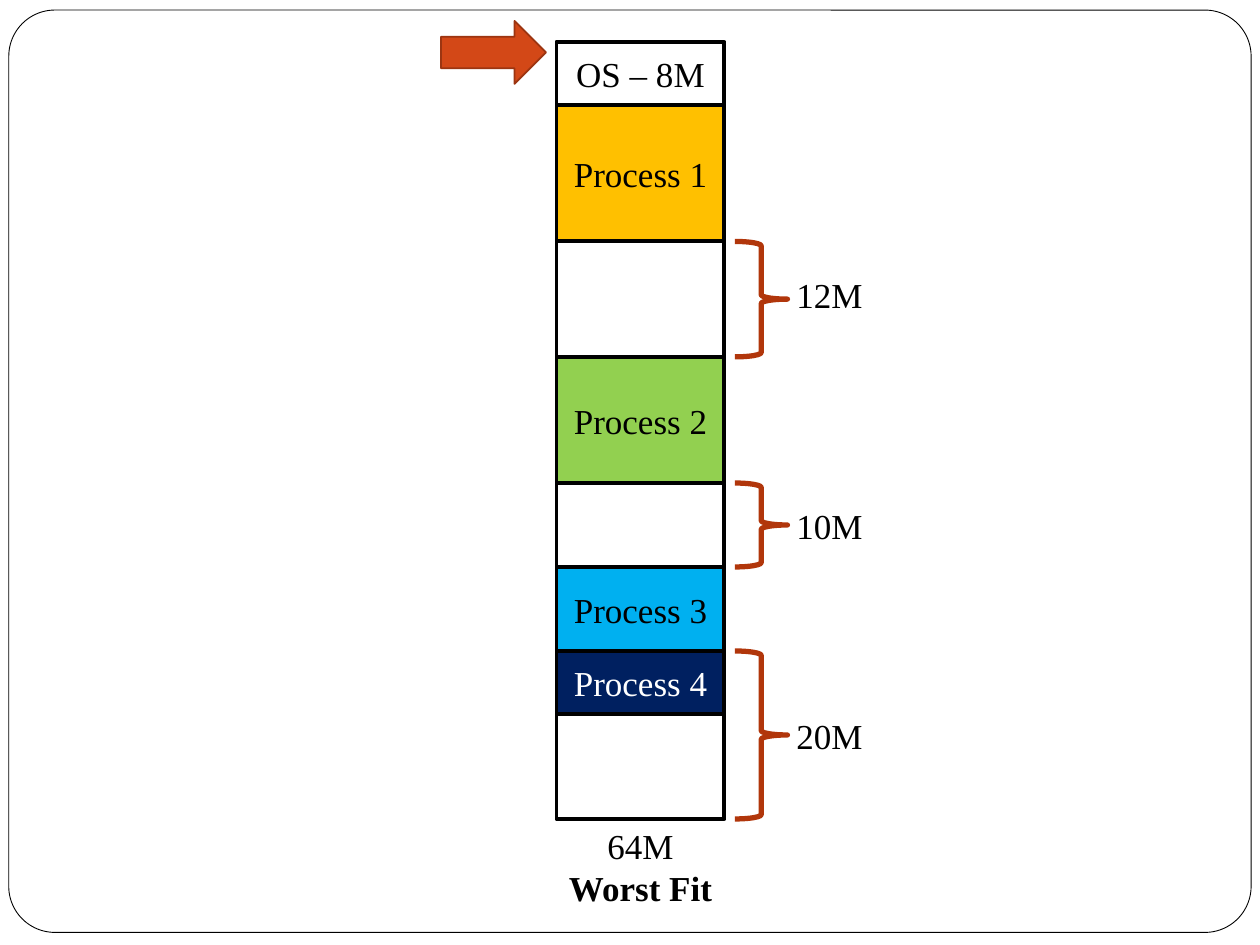
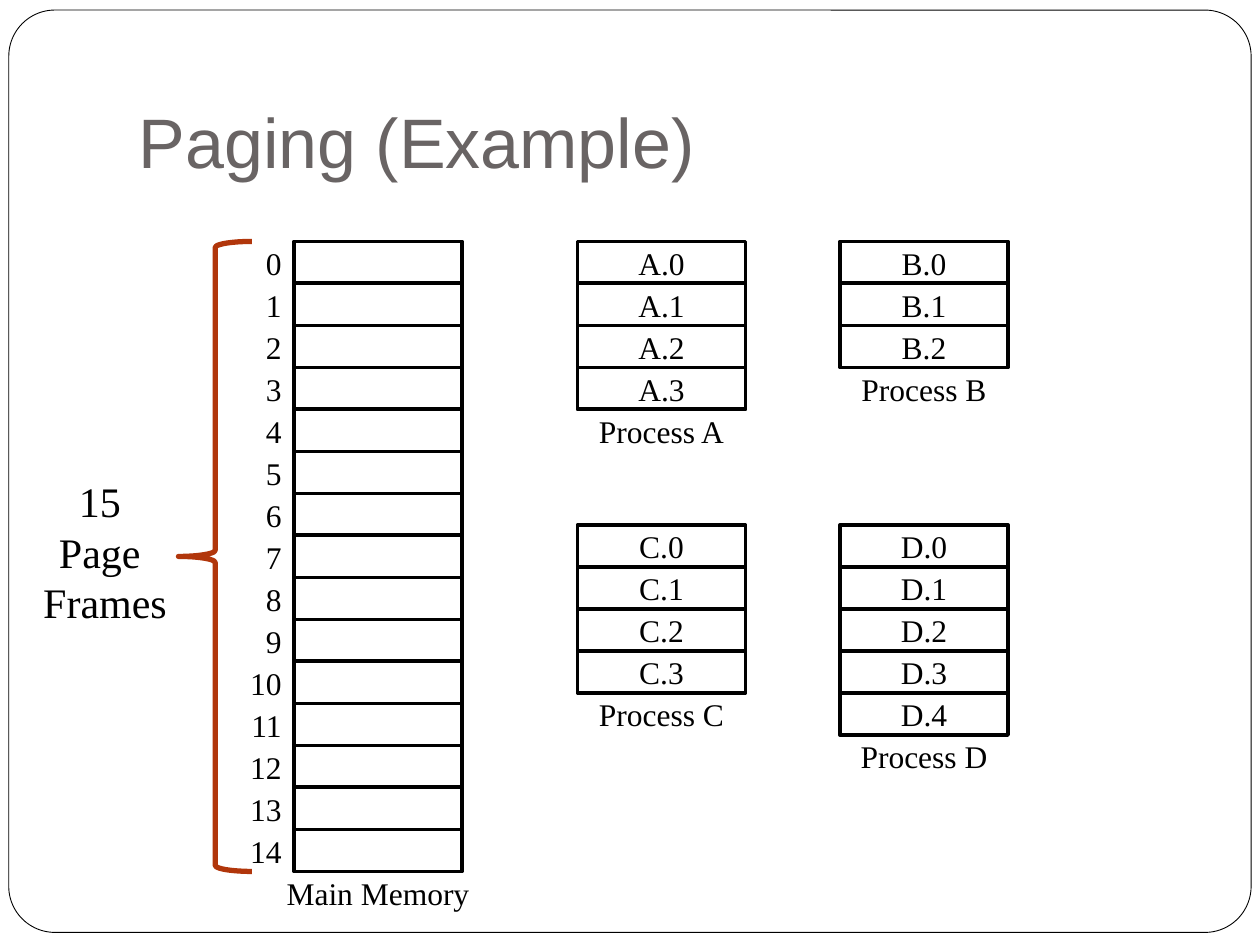
"""Build two slides on memory allocation: worst fit and paging."""
from dataclasses import dataclass

import pptx
import pptx.dml.color
import pptx.enum.shapes
import pptx.enum.text
import pptx.util

SHAPES = pptx.enum.shapes.MSO_SHAPE
ALIGN = pptx.enum.text.PP_ALIGN
ANCHOR = pptx.enum.text.MSO_ANCHOR


@dataclass(frozen=True)
class Theme:
    """Colours, fonts, type sizes and line widths of the deck."""
    black: str = "000000"
    white: str = "FFFFFF"
    title_grey: str = "696464"
    brace_red: str = "B1360B"
    arrow_fill: str = "D34817"
    arrow_line: str = "9C3511"
    amber: str = "FFC000"
    green: str = "92D050"
    blue: str = "00B0F0"
    navy: str = "002060"
    title_font: str = "Arial"
    body_font: str = "Times New Roman"
    title_size: int = 40
    large_size: int = 24
    block_size: int = 20
    page_size: int = 18
    card_line: float = 0.5
    arrow_width: float = 1
    block_line: float = 2.25
    brace_line: float = 3


THEME = Theme()
BLOCK_WIDTH = 16
CAPTION_WIDTH = 20
ROW = 4


def grid(*twelfths):
    """Turn twelfths of an inch into lengths."""
    return [pptx.util.Inches(value / 12) for value in twelfths]


def colour(code):
    """Return the colour for a hexadecimal code."""
    return pptx.dml.color.RGBColor.from_string(code)


def write(shape, text, *, size=THEME.block_size, color=THEME.black, font=THEME.body_font,
          align=ALIGN.CENTER, anchor=ANCHOR.MIDDLE, bold_last=False):
    """Write the lines of text into a shape with one format."""
    frame = shape.text_frame
    frame.text = text
    frame.word_wrap = True
    frame.vertical_anchor = anchor
    for paragraph in frame.paragraphs:
        paragraph.alignment = align
        paragraph.font.name = font
        paragraph.font.size = pptx.util.Pt(size)
        paragraph.font.color.rgb = colour(color)
    if bold_last:
        frame.paragraphs[-1].font.bold = True


def add_outline(slide, kind, place, line, width, fill=None):
    """Add a preset shape with a line and, if given, a fill."""
    shape = slide.shapes.add_shape(kind, *place)
    shape.shadow.inherit = False
    if fill:
        shape.fill.solid()
        shape.fill.fore_color.rgb = colour(fill)
    else:
        shape.fill.background()
    shape.line.color.rgb = colour(line)
    shape.line.width = pptx.util.Pt(width)
    return shape


def add_block(slide, left, top, height, text="", fill=THEME.white, **text_format):
    """Add a memory block with an optional name."""
    shape = add_outline(slide, SHAPES.RECTANGLE, grid(left, top, BLOCK_WIDTH, height),
                        THEME.black, THEME.block_line, fill)
    if text:
        write(shape, text, **text_format)


def add_label(slide, left, top, width, height, text, **text_format):
    """Add a text box."""
    write(slide.shapes.add_textbox(*grid(left, top, width, height)), text, **text_format)


def add_brace(slide, kind, left, top, width, height):
    """Add a brace that spans part of the memory."""
    add_outline(slide, kind, grid(left, top, width, height), THEME.brace_red, THEME.brace_line)


def add_master_card(presentation, slide):
    """Put the rounded card behind every slide by way of the master."""
    place = [pptx.util.Inches(value) for value in (0.07, 0.08, 9.86, 7.32)]
    card = add_outline(slide, SHAPES.ROUNDED_RECTANGLE, place,
                       THEME.black, THEME.card_line, THEME.white)
    card.adjustments[0] = 0.05
    card.element.nvSpPr.cNvPr.set("id", "100")
    presentation.slide_master.shapes.element.insert(2, card.element)


def add_title(slide, text):
    """Place and fill the title placeholder."""
    title = slide.shapes.title
    title.left, title.top, title.width, title.height = (
        pptx.util.Inches(value) for value in (1, 0.3, 8.5, 1.25))
    title.text_frame.margin_bottom = pptx.util.Inches(0.1)
    write(title, text, size=THEME.title_size, color=THEME.title_grey,
          font=THEME.title_font, align=ALIGN.LEFT, anchor=ANCHOR.BOTTOM)


def add_page_stack(slide, left, top, pages, caption):
    """Add a stack of equal pages with a caption below."""
    for row, page in enumerate(pages):
        add_block(slide, left, top + row * ROW, ROW, page, size=THEME.page_size)
    add_label(slide, left - 2, top + len(pages) * ROW, CAPTION_WIDTH, ROW, caption,
              size=THEME.page_size)


def fill_worst_fit(slide):
    """Show the memory map after worst-fit allocation."""
    left, top = 53, 4
    blocks = [
        ("OS – 8M", 6, THEME.white, THEME.black),
        ("Process 1", 13, THEME.amber, THEME.black),
        ("", 11, THEME.white, THEME.black),
        ("Process 2", 12, THEME.green, THEME.black),
        ("", 8, THEME.white, THEME.black),
        ("Process 3", 8, THEME.blue, THEME.black),
        ("Process 4", 6, THEME.navy, THEME.white),
        ("", 10, THEME.white, THEME.black),
    ]
    for name, height, fill, color in blocks:
        add_block(slide, left, top, height, name, fill, color=color)
        top += height
    add_label(slide, left - 2, top + 1, CAPTION_WIDTH, 7, "64M\nWorst Fit", bold_last=True)

    holes = [("12M", 23, 11, 26), ("10M", 46, 8, 48), ("20M", 62, 16, 68)]
    for size, hole_top, height, label_top in holes:
        add_brace(slide, SHAPES.RIGHT_BRACE, 70, hole_top, 5, height)
        add_label(slide, 71, label_top, 16, ROW, size)
    add_outline(slide, SHAPES.RIGHT_ARROW, grid(42, 2, 10, 6),
                THEME.arrow_line, THEME.arrow_width, THEME.arrow_fill)


def fill_paging(slide):
    """Show the page frames of main memory and the pages of each process."""
    frame_count, top = 15, 23
    add_title(slide, "Paging (Example)")
    add_page_stack(slide, 28, top, [""] * frame_count, "Main Memory")
    for number in range(frame_count):
        add_label(slide, 21, top + number * ROW, 7, ROW, str(number),
                  size=THEME.page_size, align=ALIGN.RIGHT)
    add_brace(slide, SHAPES.LEFT_BRACE, 17, top, 7, frame_count * ROW)
    add_label(slide, 0, 49, 20, 7, "15 \nPage \nFrames", size=THEME.large_size)

    processes = [("A", 4, 55, top), ("B", 3, 80, top), ("C", 4, 55, 50), ("D", 5, 80, 50)]
    for name, count, left, stack_top in processes:
        pages = [f"{name}.{number}" for number in range(count)]
        add_page_stack(slide, left, stack_top, pages, f"Process {name}")


def main():
    """Build and save the presentation."""
    presentation = pptx.Presentation()
    presentation.slide_width = pptx.util.Inches(10)
    presentation.slide_height = pptx.util.Inches(7.5)
    title_only, blank = presentation.slide_layouts[5], presentation.slide_layouts[6]
    worst_fit = presentation.slides.add_slide(blank)
    add_master_card(presentation, worst_fit)
    fill_worst_fit(worst_fit)
    fill_paging(presentation.slides.add_slide(title_only))
    presentation.save("out.pptx")


if __name__ == "__main__":
    main()
